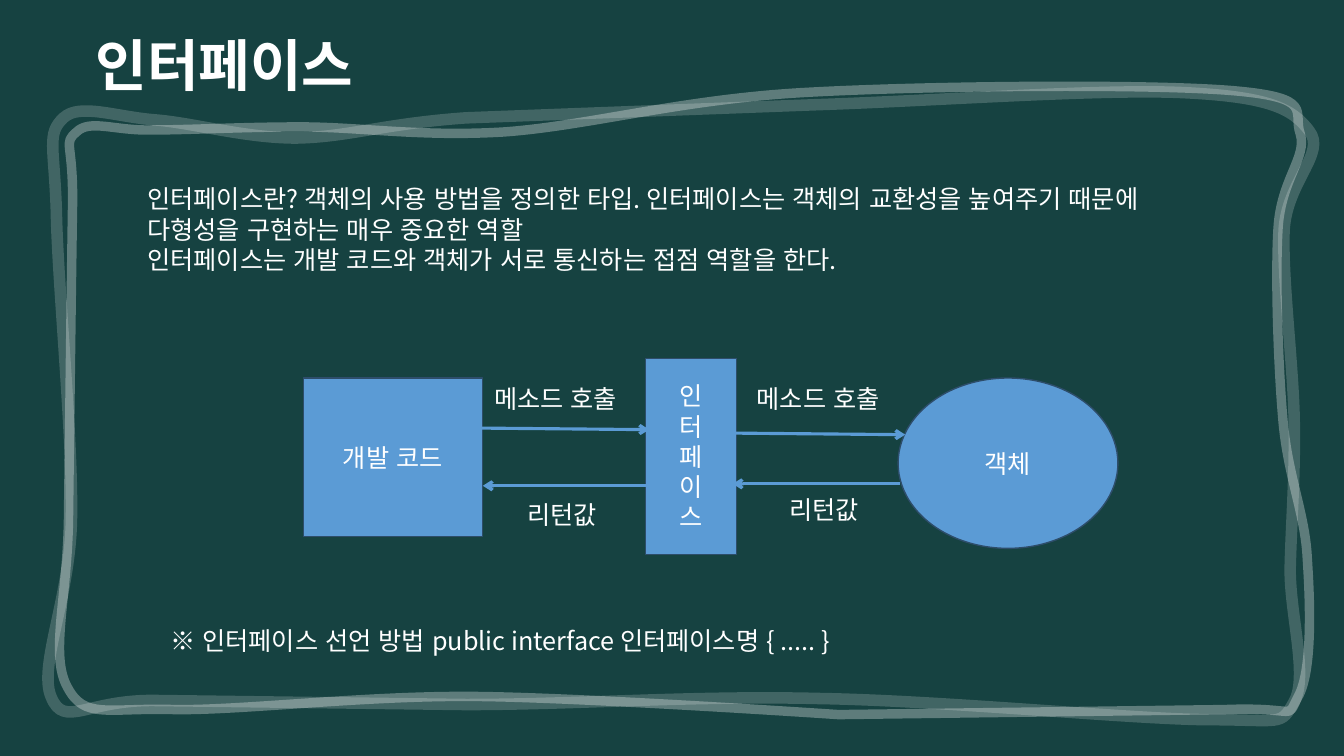
from lxml.etree import SubElement
from pptx import Presentation
from pptx.dml.color import RGBColor
from pptx.enum.lang import MSO_LANGUAGE_ID
from pptx.enum.shapes import MSO_CONNECTOR, MSO_SHAPE
from pptx.enum.text import MSO_ANCHOR, MSO_AUTO_SIZE, PP_ALIGN
from pptx.oxml.ns import qn
from pptx.util import Pt

FONT = "Noto Sans CJK KR"
COLORS = {"board": "164241", "chalk": "FFFFFF", "blue": "5B9BD5", "edge": "2D4D6A"}

TITLE = ("인터페이스", (61.2, -5.8, 427.7, 79.2))

# text, (left, top, width, height), alignment
TEXTS = [
    ("인터페이스란? 객체의 사용 방법을 정의한 타입. 인터페이스는 객체의 교환성을 높여주기 때문에\n"
     "다형성을 구현하는 매우 중요한 역할\n"
     "인터페이스는 개발 코드와 객체가 서로 통신하는 접점 역할을 한다.",
     (98.2, 127.7, 798.5, 71.3), PP_ALIGN.LEFT),
    ("메소드 호출", (345.9, 270, 110.9, 28.8), PP_ALIGN.LEFT),
    ("리턴값", (347, 353.2, 108.7, 28.8), PP_ALIGN.CENTER),
    ("메소드 호출", (533.5, 270, 110.9, 28.8), PP_ALIGN.LEFT),
    ("리턴값", (533.3, 349.9, 110.9, 28.8), PP_ALIGN.CENTER),
    ("※ 인터페이스 선언 방법 public interface 인터페이스명 { ..... }",
     (114.5, 442.8, 506.9, 28.8), PP_ALIGN.LEFT),
]

NODES = [
    ("개발 코드", MSO_SHAPE.RECTANGLE, (216.8, 270.1, 127.7, 113)),
    ("\n".join("인터페이스"), MSO_SHAPE.RECTANGLE, (461.2, 255.9, 64.8, 140.1)),
    ("객체", MSO_SHAPE.OVAL, (641.5, 270, 157, 121.7)),
]

# from x, from y, to x, to y
ARROWS = [
    (343, 305.8, 463.7, 306.9),
    (465.1, 347, 344.9, 347),
    (525.6, 309.4, 646.6, 310.5),
    (643, 345.6, 523.4, 345.6),
]

# Chalk frames on a grid of 0.72 points: a box (left, top, right, bottom), a
# start, then curves (two controls and an end) or straight steps (an end only).
GRID = 0.72
FRAMES = [
    {"weight": 6.75, "opacity": 31, "box": (59, 86, 1299, 709), "start": (151, 129), "steps": [
        (114, 130, 89, 118, 76, 131), (62, 143, 73, 140, 72, 204),
        (71, 268, 69, 434, 68, 514), (67, 594, 49, 650, 67, 682),
        (84, 714, 106, 702, 173, 704), (240, 705, 361, 690, 471, 691),
        (580, 692, 832, 709, 832, 709), (1215, 704),
        (1291, 701, 1275, 716, 1288, 691), (1302, 666, 1300, 600, 1297, 555),
        (1295, 510, 1278, 474, 1273, 419), (1268, 364, 1265, 273, 1268, 226),
        (1271, 178, 1297, 156, 1290, 133), (1282, 111, 1306, 97, 1223, 90),
        (1141, 83, 915, 85, 795, 92), (674, 99, 583, 125, 500, 131),
        (417, 136, 357, 126, 299, 126), (240, 126, 188, 129, 151, 129)]},
    {"weight": 8.25, "opacity": 18, "box": (47, 91, 1303, 715), "start": (154, 119), "steps": [
        (115, 116, 79, 102, 63, 117), (46, 133, 54, 145, 56, 211),
        (57, 276, 72, 430, 71, 510), (71, 591, 37, 661, 51, 692),
        (64, 723, 86, 694, 154, 695), (462, 699),
        (572, 699, 690, 690, 812, 693), (934, 695, 1117, 713, 1196, 714),
        (1274, 714, 1270, 721, 1284, 696), (1298, 671, 1280, 611, 1280, 565),
        (1281, 519, 1285, 474, 1284, 417), (1283, 361, 1272, 276, 1274, 228),
        (1277, 180, 1316, 152, 1299, 130), (1282, 107, 1257, 96, 1175, 92),
        (1093, 88, 930, 100, 808, 104), (462, 117),
        (379, 123, 346, 136, 294, 137), (243, 137, 192, 122, 154, 119)]},
]


def color(name):
    return RGBColor.from_string(COLORS[name])


def points(values):
    return [Pt(value) for value in values]


def write(shape, text, size=18, align=PP_ALIGN.LEFT, bold=False):
    frame = shape.text_frame
    frame.text = text
    frame.word_wrap = True
    for para in frame.paragraphs:
        para.alignment = align
        for span in para.runs:
            span.font.size = Pt(size)
            span.font.bold = bold
            span.font.language_id = MSO_LANGUAGE_ID.KOREAN
            span.font.color.rgb = color("chalk")
            span.font.name = FONT
    for properties in shape.element.iter(qn("a:rPr")):
        SubElement(properties, qn("a:ea"), typeface=FONT)
    return frame


def draw_curves(outline, corner, start, steps):
    """Replace the straight sides of an outline by curves, measured from its corner."""
    for side in list(outline):
        outline.remove(side)
    for tag, step in [("a:moveTo", start)] + [
            ("a:lnTo" if len(step) == 2 else "a:cubicBezTo", step) for step in steps]:
        command = SubElement(outline, qn(tag))
        for x, y in zip(step[::2], step[1::2]):
            SubElement(command, qn("a:pt"), x=str(Pt(GRID * (x - corner[0]))),
                       y=str(Pt(GRID * (y - corner[1]))))
    SubElement(outline, qn("a:close"))


def add_frame(page, weight, opacity, box, start, steps):
    left, top, right, bottom = points(GRID * value for value in box)
    builder = page.shapes.build_freeform(left, top)
    builder.add_line_segments([(right, top), (right, bottom), (left, bottom)], close=True)
    frame = builder.convert_to_shape()
    draw_curves(next(frame.element.iter(qn("a:path"))), box[:2], start, steps)
    frame.shadow.inherit = False
    frame.fill.background()
    frame.line.width = Pt(weight)
    frame.line.color.rgb = color("chalk")
    stroke = frame.element.spPr.find(qn("a:ln"))
    SubElement(next(stroke.iter(qn("a:srgbClr"))), qn("a:alpha"), val=str(opacity * 1000))


def add_node(page, text, kind, place):
    node = page.shapes.add_shape(kind, *points(place))
    node.shadow.inherit = False
    node.fill.solid()
    node.fill.fore_color.rgb = color("blue")
    node.line.color.rgb = color("edge")
    node.line.width = Pt(1)
    write(node, text, align=PP_ALIGN.CENTER).vertical_anchor = MSO_ANCHOR.MIDDLE


def add_arrow(page, ends):
    arrow = page.shapes.add_connector(MSO_CONNECTOR.STRAIGHT, *points(ends))
    arrow.line.color.rgb = color("blue")
    arrow.line.width = Pt(2.25)
    properties = arrow.element.spPr
    SubElement(properties.find(qn("a:ln")), qn("a:tailEnd"), type="arrow")
    SubElement(properties, qn("a:effectLst"))


def main():
    deck = Presentation()
    deck.slide_width, deck.slide_height = Pt(960), Pt(540)
    page = deck.slides.add_slide(deck.slide_layouts.get_by_name("Title Only"))
    page.background.fill.solid()
    page.background.fill.fore_color.rgb = color("board")

    text, place = TITLE
    title = page.shapes.title
    title.left, title.top, title.width, title.height = points(place)
    frame = write(title, text, size=40, bold=True)
    frame.vertical_anchor = MSO_ANCHOR.TOP
    frame.auto_size = MSO_AUTO_SIZE.NONE
    frame.paragraphs[0].line_spacing = 1.5

    for chalk_frame in FRAMES:
        add_frame(page, **chalk_frame)
    for node in NODES:
        add_node(page, *node)
    for ends in ARROWS:
        add_arrow(page, ends)
    for text, place, align in TEXTS:
        write(page.shapes.add_textbox(*points(place)), text, align=align)

    deck.save("out.pptx")


if __name__ == "__main__":
    main()
